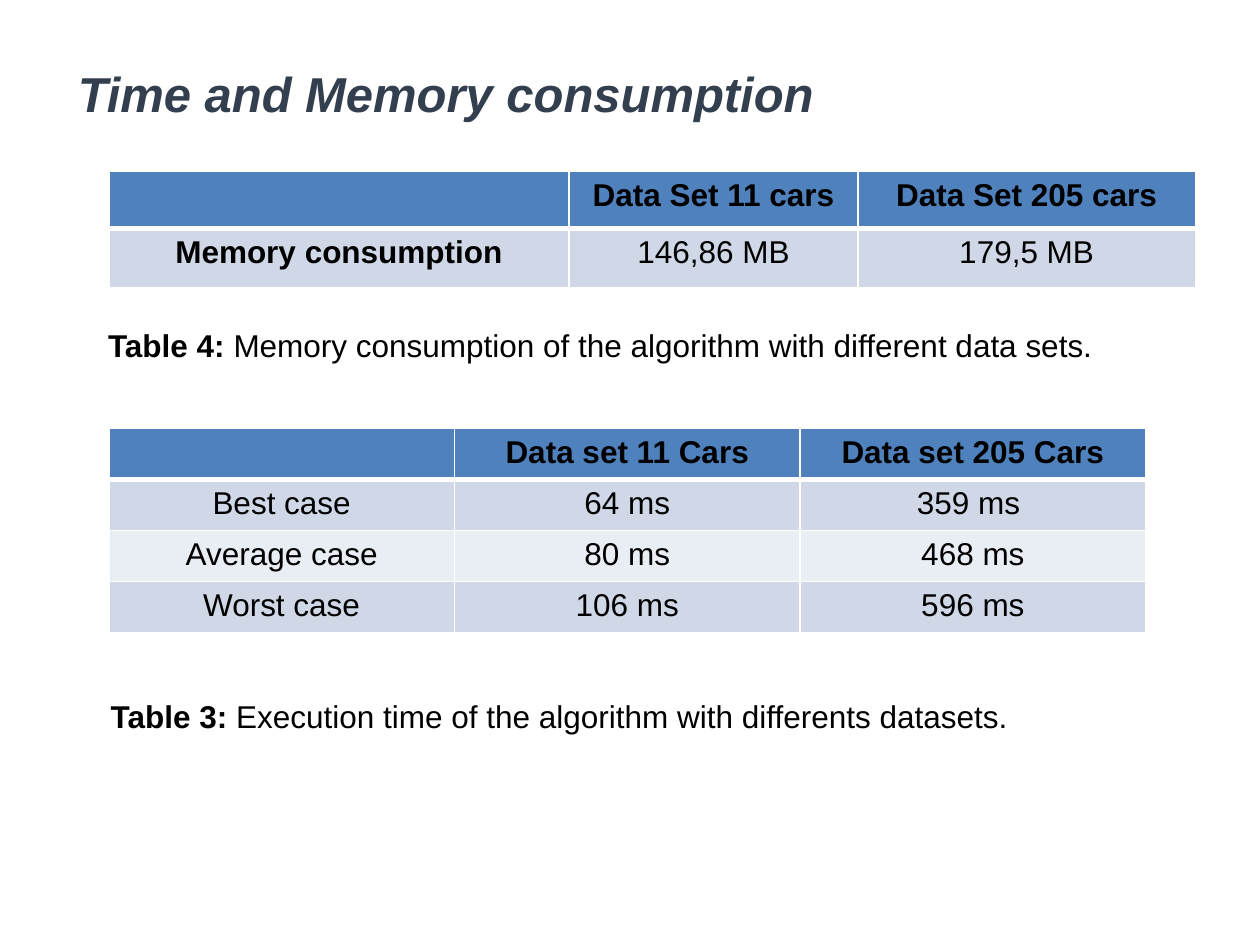
"""Build a slide with two tables on time and memory consumption."""
import pptx
import pptx.dml.color
import pptx.enum.text
import pptx.oxml
import pptx.oxml.ns
import pptx.util

Pt = pptx.util.Pt
ALIGN = pptx.enum.text.PP_ALIGN
HEADER_FILL, BAND_FILLS = "4F81BD", ("D0D8E8", "E9EDF4")
BLACK, WHITE, TITLE_COLOR = "000000", "FFFFFF", "333F4F"

TITLE = "Time and Memory consumption"
CAPTIONS = [
    ((54.7, 182.9, 585.4, 29), "Table 4: ",
     "Memory consumption of the algorithm with different data sets. "),
    ((56.2, 394.6, 607.7, 29), "Table 3: ",
     "Execution time of the algorithm with differents datasets. "),
]
TABLES = [
    {"left": 62.2, "top": 98, "columns": [263, 165, 193], "rows": [32.6, 33.6],
     "bold_labels": True,
     "cells": [["", "Data Set 11 cars", "Data Set 205 cars"],
               ["Memory consumption", "146,86 MB", "179,5 MB"]]},
    {"left": 62.2, "top": 244.8, "columns": [197.5] * 3, "rows": [29.16] * 4,
     "bold_labels": False,
     "cells": [["", "Data set 11 Cars", "Data set 205 Cars"],
               ["Best case", "64 ms", "359 ms "],
               ["Average case", "80 ms", "468 ms"],
               ["Worst case", "106 ms", "596 ms"]]},
]


def rgb(color):
    return pptx.dml.color.RGBColor.from_string(color)


def add_span(para, text, bold=False, size=18, color=BLACK, italic=False):
    span = para.add_run()
    span.text = text
    span.font.name = "Arial"
    span.font.size = Pt(size)
    span.font.bold = bold
    span.font.italic = italic
    span.font.color.rgb = rgb(color)


def add_text_box(page, place):
    box = page.shapes.add_textbox(*map(Pt, place))
    box.text_frame.word_wrap = True
    return box.text_frame


def set_borders(cell, widths):
    properties = cell._tc.get_or_add_tcPr()
    for position, (side, width) in enumerate(widths.items()):
        properties.insert(position, pptx.oxml.parse_xml(
            f'<a:ln{side} {pptx.oxml.ns.nsdecls("a")} w="{Pt(width)}">'
            f'<a:solidFill><a:srgbClr val="{WHITE}"/></a:solidFill></a:ln{side}>'))


def add_data_table(page, data):
    columns, rows = data["columns"], data["rows"]
    table = page.shapes.add_table(
        len(rows), len(columns), Pt(data["left"]), Pt(data["top"]),
        Pt(sum(columns)), Pt(sum(rows))).table
    for column, width in zip(table.columns, columns):
        column.width = Pt(width)
    for row_index, (row, height) in enumerate(zip(table.rows, rows)):
        row.height = Pt(height)
        header = row_index == 0
        fill = HEADER_FILL if header else BAND_FILLS[(row_index - 1) % 2]
        for column_index, text in enumerate(data["cells"][row_index]):
            cell = table.cell(row_index, column_index)
            cell.fill.solid()
            cell.fill.fore_color.rgb = rgb(fill)
            set_borders(cell, {"L": 1, "R": 1, "T": 3 if row_index == 1 else 1,
                               "B": 3 if header else 1})
            para = cell.text_frame.paragraphs[0]
            para.alignment = ALIGN.CENTER
            if text:
                label = column_index == 0 and data["bold_labels"]
                add_span(para, text, bold=header or label)


deck = pptx.Presentation()
deck.slide_width, deck.slide_height = Pt(720), Pt(540)
page = deck.slides.add_slide(deck.slide_layouts[6])

title_frame = add_text_box(page, (37.4, 31, 620.6, 48.2))
title_frame.vertical_anchor = pptx.enum.text.MSO_ANCHOR.MIDDLE
title_para = title_frame.paragraphs[0]
title_para.line_spacing = 0.9
add_span(title_para, TITLE, bold=True, size=28, color=TITLE_COLOR, italic=True)

for data in TABLES:
    add_data_table(page, data)
for place, label, description in CAPTIONS:
    caption_frame = add_text_box(page, place)
    caption_frame.auto_size = pptx.enum.text.MSO_AUTO_SIZE.SHAPE_TO_FIT_TEXT
    caption_para = caption_frame.paragraphs[0]
    add_span(caption_para, label, bold=True)
    add_span(caption_para, description)

deck.save("out.pptx")
